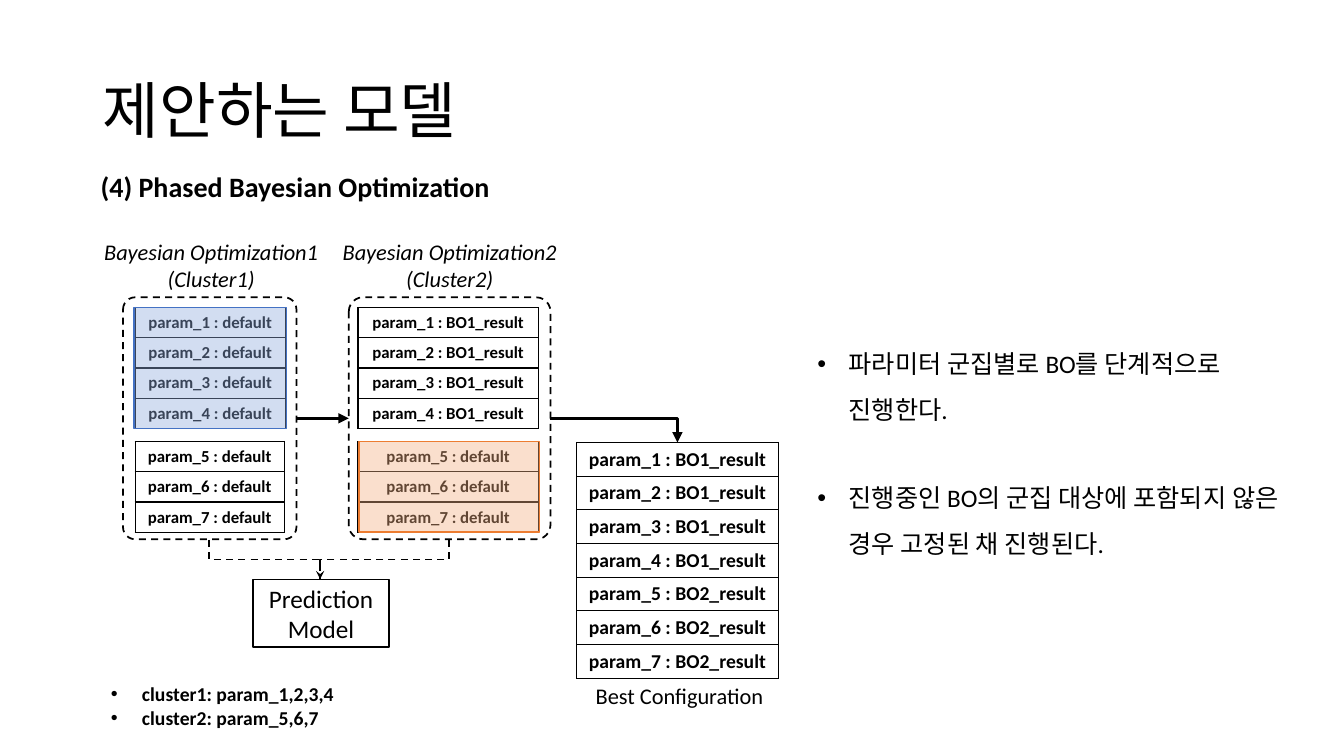
"""Build the slide on phased Bayesian optimization over parameter clusters."""
from lxml.etree import SubElement
from pptx import Presentation
from pptx.dml.color import RGBColor
from pptx.enum.dml import MSO_LINE
from pptx.enum.shapes import MSO_CONNECTOR, MSO_SHAPE
from pptx.enum.text import MSO_ANCHOR, PP_ALIGN
from pptx.oxml import parse_xml
from pptx.oxml.ns import nsdecls, qn
from pptx.util import Inches, Pt


def paint(target, color):
    target.solid()
    target.fore_color.rgb = RGBColor.from_string(color)


def write(frame, lines, size, bold=False, italic=False, align=PP_ALIGN.LEFT,
          bullet=False, spacing=1.0, gap=0):
    frame.word_wrap = True
    for index, line in enumerate(lines):
        para = frame.paragraphs[0] if index == 0 else frame.add_paragraph()
        para.alignment = align
        para.line_spacing = spacing
        if index:
            para.space_before = Pt(gap)
        if bullet:
            settings = para._p.get_or_add_pPr()
            settings.set("marL", str(Inches(0.31)))
            settings.set("indent", str(Inches(-0.31)))
            SubElement(settings, qn("a:buFont")).set("typeface", "Arial")
            SubElement(settings, qn("a:buChar")).set("char", "•")
        for part, words in enumerate(line.split("\n")):
            if part:
                para.add_line_break()
            span = para.add_run()
            span.text = words
            span.font.name = "Calibri"
            span.font.size = Pt(size)
            span.font.bold = bold
            span.font.italic = italic
            paint(span.font.fill, "000000")


deck = Presentation()
deck.slide_width = Inches(13.33)
deck.slide_height = Inches(7.5)
page = deck.slides.add_slide(deck.slide_layouts[6])
center = PP_ALIGN.CENTER

title = page.shapes.add_textbox(Inches(0.92), Inches(0.4), Inches(11.5), Inches(1.45))
title.text_frame.vertical_anchor = MSO_ANCHOR.MIDDLE
write(title.text_frame, ["제안하는 모델"], 44, spacing=0.9)

texts = [
    (0.9, 1.63, 4.74, 0.44, ["(4) Phased Bayesian Optimization"], 20, {"bold": True}),
    (8.01, 3.26, 4.94, 3.23,
     ["파라미터 군집별로 BO를 단계적으로 진행한다.",
      "진행중인 BO의 군집 대상에 포함되지 않은 경우 고정된 채 진행된다."],
     18, {"bullet": True, "spacing": 1.5, "gap": 31}),
    (0.83, 2.31, 2.53, 0.64, ["Bayesian Optimization1", "(Cluster1)"], 16,
     {"italic": True, "align": center}),
    (3.25, 2.31, 2.42, 0.64, ["Bayesian Optimization2", "(Cluster2)"], 16,
     {"italic": True, "align": center}),
    (5.81, 6.72, 1.98, 0.37, ["Best Configuration"], 16, {}),
    (1, 6.72, 2.81, 0.57, ["cluster1: param_1,2,3,4", "cluster2: param_5,6,7"], 14,
     {"bold": True, "bullet": True}),
]
for left, top, width, height, lines, size, style in texts:
    box = page.shapes.add_textbox(Inches(left), Inches(top), Inches(width), Inches(height))
    write(box.text_frame, lines, size, **style)

blocks = [
    (MSO_SHAPE.ROUNDED_RECTANGLE, 1.22, 2.95, 1.72, 2.4, 1.25),
    (MSO_SHAPE.ROUNDED_RECTANGLE, 3.46, 2.95, 2, 2.4, 1.25),
    (MSO_SHAPE.RECTANGLE, 2.51, 5.75, 1.35, 0.67, 1),
]
shapes = []
for kind, left, top, width, height, weight in blocks:
    block = page.shapes.add_shape(
        kind, Inches(left), Inches(top), Inches(width), Inches(height))
    block.shadow.inherit = False
    paint(block.fill, "FFFFFF")
    paint(block.line.fill, "000000")
    block.line.width = Pt(weight)
    shapes.append(block)
first_cluster, second_cluster, model = shapes
for cluster in (first_cluster, second_cluster):
    cluster.adjustments[0] = 0.07
    cluster.line.dash_style = MSO_LINE.DASH
model.text_frame.vertical_anchor = MSO_ANCHOR.MIDDLE
write(model.text_frame, ["Prediction\nModel"], 18, align=center)

tables = [
    (1.34, 3.05, 1.49, 0.3, 12, 1, ["default"] * 4),
    (1.34, 4.38, 1.48, 0.3, 12, 5, ["default"] * 3),
    (3.55, 3.05, 1.79, 0.3, 12, 1, ["BO1_result"] * 4),
    (3.55, 4.38, 1.79, 0.3, 12, 5, ["default"] * 3),
    (5.72, 4.39, 2, 0.33, 14, 1, ["BO1_result"] * 4 + ["BO2_result"] * 3),
]
for left, top, width, row_height, size, start, values in tables:
    table = page.shapes.add_table(
        len(values), 1, Inches(left), Inches(top), Inches(width),
        Inches(row_height * len(values))).table
    table.first_row = False
    table.horz_banding = False
    for row, value in enumerate(values):
        cell = table.cell(row, 0)
        write(cell.text_frame, [f"param_{start + row} : {value}"], size,
              bold=True, align=center)
        borders = cell._tc.get_or_add_tcPr()
        for side in ("lnL", "lnR", "lnT", "lnB"):
            borders.append(parse_xml(
                f'<a:{side} {nsdecls("a")} w="12700"><a:solidFill>'
                f'<a:srgbClr val="000000"/></a:solidFill></a:{side}>'))
        cell.fill.background()

tints = [
    (1.33, 3.05, 1.51, 1.2, "8FAADC", "4472C4"),
    (3.56, 4.38, 1.79, 0.9, "F4B183", "ED7D31"),
]
for left, top, width, height, color, edge in tints:
    tint = page.shapes.add_shape(
        MSO_SHAPE.RECTANGLE, Inches(left), Inches(top), Inches(width), Inches(height))
    tint.shadow.inherit = False
    paint(tint.fill, color)
    shade = tint._element.spPr.find(qn("a:solidFill")).find(qn("a:srgbClr"))
    SubElement(shade, qn("a:alpha")).set("val", "40000")
    paint(tint.line.fill, edge)
    tint.line.width = Pt(1)

links = [
    ("line", 2.94, 4.15, 0.52, 0, 0, False, 2.5, False, "triangle"),
    ("bentConnector2", 5.46, 4.15, 1.26, 0.24, 0, False, 2.5, False, "triangle"),
    ("bentConnector3", 3.62, 4.91, 0.39, 1.28, 90, False, 1.25, True, "stealth"),
    ("bentConnector3", 2.43, 5, 0.39, 1.1, 270, True, 1.25, True, None),
]
for preset, left, top, width, height, turn, flip, weight, dashed, head in links:
    kind = MSO_CONNECTOR.STRAIGHT if preset == "line" else MSO_CONNECTOR.ELBOW
    link = page.shapes.add_connector(
        kind, Inches(left), Inches(top), Inches(left + width), Inches(top + height))
    paint(link.line.fill, "000000")
    link.line.width = Pt(weight)
    if dashed:
        link.line.dash_style = MSO_LINE.DASH
    if head:
        SubElement(link.line._get_or_add_ln(), qn("a:tailEnd")).set("type", head)
    properties = link._element.spPr
    SubElement(properties, qn("a:effectLst"))
    properties.find(qn("a:prstGeom")).set("prst", preset)
    frame = properties.find(qn("a:xfrm"))
    if turn:
        frame.set("rot", str(turn * 60000))
    if flip:
        frame.set("flipH", "1")
    if preset == "line":
        link.begin_connect(first_cluster, 3)
        link.end_connect(second_cluster, 1)

deck.save("out.pptx")
